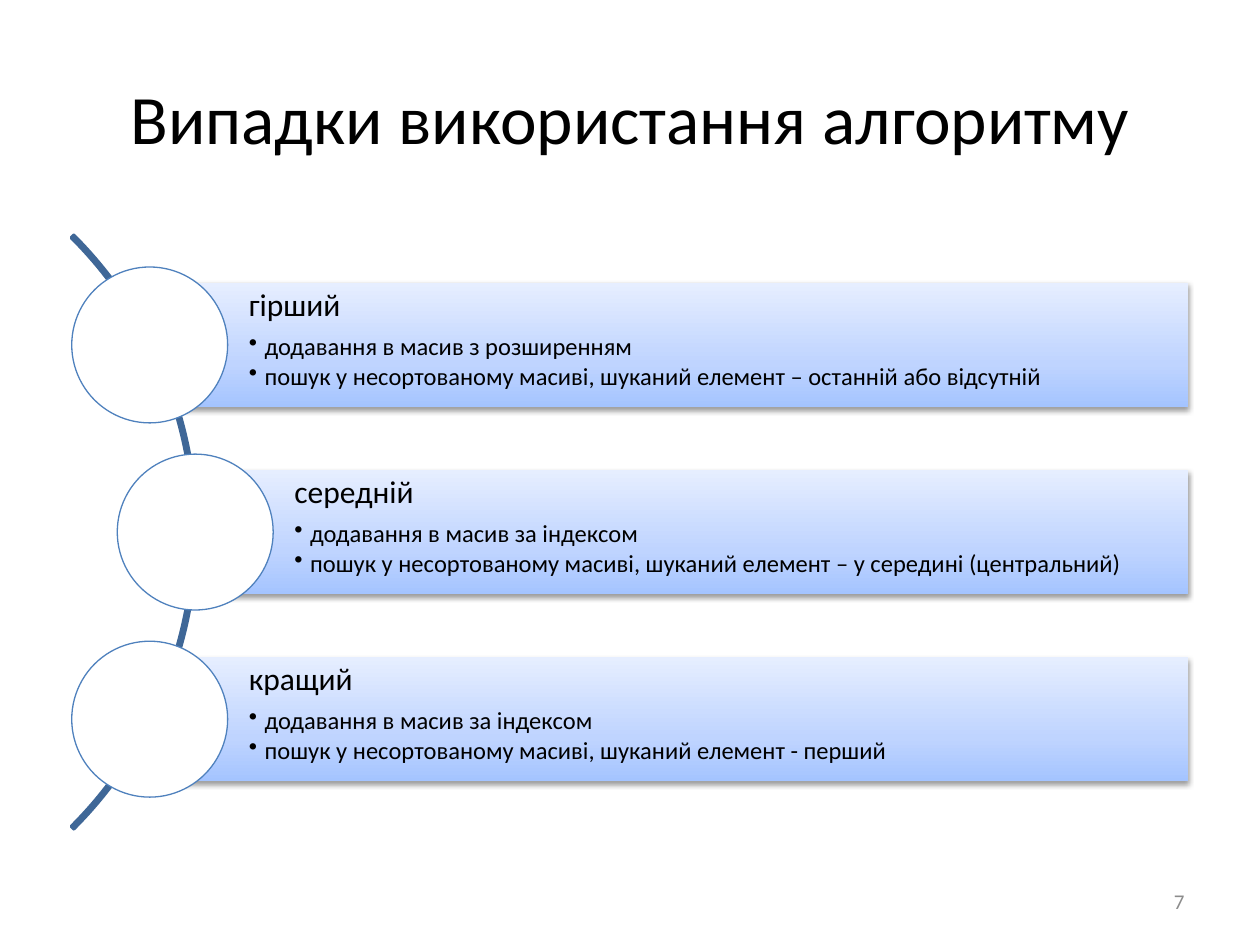
from lxml import etree
from pptx import Presentation
from pptx.dml.color import RGBColor
from pptx.enum.shapes import MSO_SHAPE
from pptx.enum.text import MSO_ANCHOR, PP_ALIGN
from pptx.oxml import parse_xml
from pptx.oxml.ns import nsdecls, qn
from pptx.util import Pt

ARC, BAR, DISC = MSO_SHAPE.BLOCK_ARC, MSO_SHAPE.RECTANGLE, MSO_SHAPE.OVAL
TOP, MIDDLE = MSO_ANCHOR.TOP, MSO_ANCHOR.MIDDLE
LEFT, CENTER, RIGHT = PP_ALIGN.LEFT, PP_ALIGN.CENTER, PP_ALIGN.RIGHT

FONT = "Calibri"
GRADIENT = [(0, "A4C4FF"), (35, "BFD4FF"), (100, "E6EEFF")]
CASES = [
    ("гірший", ["додавання в масив з розширенням",
                "пошук у несортованому масиві, шуканий елемент – останній або відсутній"]),
    ("середній", ["додавання в масив за індексом",
                  "пошук у несортованому масиві, шуканий елемент – у середині (центральний)"]),
    ("кращий", ["додавання в масив за індексом",
                "пошук у несортованому масиві, шуканий елемент - перший"]),
]


def color(value):
    return RGBColor.from_string(value)


def add_run(p, text, size, ink="000000"):
    r = p.add_run()
    r.text = text
    for name, value in {"name": FONT, "size": Pt(size)}.items():
        setattr(r.font, name, value)
    r.font.color.rgb = color(ink)


def add_shape(s, kind, box):
    return s.shapes.add_shape(kind, *map(Pt, box))


def outline(sp, ink, width):
    sp.shadow.inherit = False
    sp.line.color.rgb = color(ink)
    sp.line.width = Pt(width)


def add_label(s, box, text, size, align, ink="000000"):
    tf = s.shapes.add_textbox(*map(Pt, box)).text_frame
    tf.word_wrap = True
    tf.vertical_anchor = MIDDLE
    p = tf.paragraphs[0]
    p.alignment = align
    add_run(p, text, size, ink)


def style_bar(sp):
    """Give the bar its upward gradient and soft drop shadow, without outline."""
    stops = "".join(f'<a:gs pos="{pos * 1000}"><a:srgbClr val="{ink}"/></a:gs>'
                    for pos, ink in GRADIENT)
    pr = sp._element.spPr
    pr.append(parse_xml(
        f'<a:gradFill {nsdecls("a")} rotWithShape="1"><a:gsLst>{stops}</a:gsLst>'
        '<a:lin ang="16200000" scaled="0"/></a:gradFill>'))
    sp.line.fill.background()
    pr.append(parse_xml(
        f'<a:effectLst {nsdecls("a")}><a:outerShdw blurRad="{Pt(3.1)}" dist="{Pt(1.6)}" '
        'dir="5400000" rotWithShape="0"><a:srgbClr val="000000">'
        '<a:alpha val="38000"/></a:srgbClr></a:outerShdw></a:effectLst>'))


def space_paragraph(p, after, bullet=False):
    """Set tight lines, space after in percent, and a hanging bullet if asked."""
    p.alignment = LEFT
    p.line_spacing = 0.9
    pr = p._p.get_or_add_pPr()
    space = etree.SubElement(pr, qn("a:spcAft"))
    etree.SubElement(space, qn("a:spcPct"), val=str(after * 1000))
    if bullet:
        pr.set("lvl", "1")
        pr.set("marL", str(Pt(9)))
        pr.set("indent", str(Pt(-9)))
        etree.SubElement(pr, qn("a:buChar"), char="•")


def add_case(s, box, disc, heading, points):
    """Draw a text bar with a disc centred on its left edge."""
    left, top, width, height = box
    bar = add_shape(s, BAR, box)
    style_bar(bar)
    tf = bar.text_frame
    settings = {"word_wrap": True, "vertical_anchor": TOP, "margin_left": Pt(56.7),
                "margin_top": Pt(3.6), "margin_right": Pt(3.6), "margin_bottom": Pt(3.6)}
    for name, value in settings.items():
        setattr(tf, name, value)
    p = tf.paragraphs[0]
    space_paragraph(p, 35)
    add_run(p, heading, 18)
    for point in points:
        p = tf.add_paragraph()
        space_paragraph(p, 15, bullet=True)
        add_run(p, point, 14)

    circle = add_shape(s, DISC, (left - disc / 2, top + (height - disc) / 2, disc, disc))
    circle.fill.solid()
    circle.fill.fore_color.rgb = color("FFFFFF")
    outline(circle, "4F81BD", 0.75)


def add_case_list(s, box):
    """Draw the arc and the cases, the middle one shifted along the arc."""
    left, top, width, height = box
    pitch = height / (len(CASES) + 1)
    bar_height, disc = pitch * 2 / 3, pitch * 5 / 6
    size = 479.6
    arc = add_shape(s, ARC, (-367.2, top + (height - size) / 2, size, size))
    for i, value in enumerate((189, 27, 0.004)):
        arc.adjustments[i] = value
    arc.fill.background()
    outline(arc, "3F6797", 2)

    for i, (heading, points) in enumerate(CASES):
        x = left + disc / 2 + (26 if i == 1 else 0)
        y = top + pitch * (i + 1) - bar_height / 2
        add_case(s, (x, y, left + width - x, bar_height), disc, heading, points)


def main():
    prs = Presentation()
    prs.slide_width, prs.slide_height = Pt(720), Pt(540)
    s = prs.slides.add_slide(prs.slide_layouts[6])
    add_label(s, (36, 21.6, 648, 90), "Випадки використання алгоритму", 39.6, CENTER)
    add_case_list(s, (41, 90.2, 638, 427.68))
    add_label(s, (516, 500.5, 168, 28.8), "7", 12, RIGHT, "8C8C8C")
    prs.save("out.pptx")


if __name__ == "__main__":
    main()
